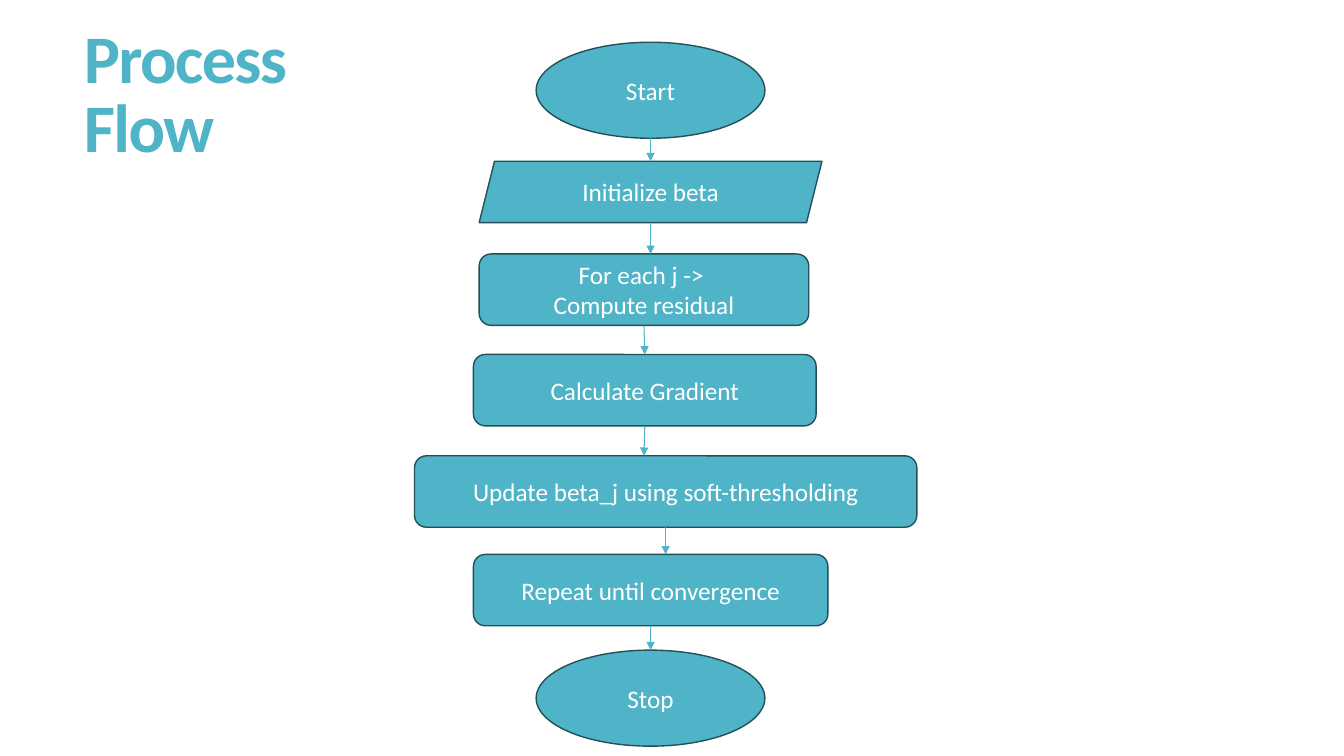
from lxml import etree
from pptx import Presentation
from pptx.dml.color import RGBColor
from pptx.enum import shapes, text
from pptx.oxml import ns
from pptx.util import Pt

COLORS = {"teal": "50B4C8", "outline": "234F58", "white": "FFFFFF"}
FONT = "Calibri"
OVAL = shapes.MSO_SHAPE.OVAL
DATA = shapes.MSO_SHAPE.PARALLELOGRAM
STEP = shapes.MSO_SHAPE.ROUNDED_RECTANGLE

# shape, lines, (left, top, width, height), x where the incoming arrow ends
FLOW = [
    (OVAL, ["Start"], (383, 30.2, 163.4, 68.6), None),
    (DATA, ["Initialize beta"], (342.3, 115.2, 244.8, 43.8), 464.7),
    (STEP, ["For each j -> ", "Compute residual"], (342.3, 181.4, 235.4, 51), 464.7),
    (STEP, ["Calculate Gradient"], (338.2, 253.2, 244.8, 51), 460.6),
    (STEP, ["Update beta_j using soft-thresholding"], (296.1, 325.6, 358.8, 51), 460),
    (STEP, ["Repeat until convergence"], (338.2, 396, 253.2, 51), 475.5),
    (OVAL, ["Stop"], (383, 464.4, 163.4, 68.6), 464.7),
]


def rgb(name):
    return RGBColor.from_string(COLORS[name])


def add_run(p, words, size, color, bold=False):
    r = p.add_run()
    r.text = words
    r.font.name = FONT
    r.font.size = Pt(size)
    r.font.bold = bold
    r.font.color.rgb = rgb(color)
    return r


def add_title(s, lines, box):
    tf = s.shapes.add_textbox(*map(Pt, box)).text_frame
    tf.word_wrap = True
    tf.vertical_anchor = text.MSO_ANCHOR.MIDDLE
    p = tf.paragraphs[0]
    p.line_spacing = 0.85
    for i, line in enumerate(lines):
        if i:
            p.add_line_break()
        r = add_run(p, line, 48.6, "teal", bold=True)
        r.font._element.set("spc", "-120")


def add_step(s, kind, lines, box):
    sp = s.shapes.add_shape(kind, *map(Pt, box))
    sp.shadow.inherit = False
    sp.fill.solid()
    sp.fill.fore_color.rgb = rgb("teal")
    sp.line.color.rgb = rgb("outline")
    sp.line.width = Pt(1)
    tf = sp.text_frame
    tf.word_wrap = True
    tf.vertical_anchor = text.MSO_ANCHOR.MIDDLE
    for i, line in enumerate(lines):
        p = tf.add_paragraph() if i else tf.paragraphs[0]
        p.alignment = text.PP_ALIGN.CENTER
        add_run(p, line, 18, "white")


def add_arrow(s, x1, y1, x2, y2):
    arrow = s.shapes.add_connector(
        shapes.MSO_CONNECTOR.STRAIGHT, Pt(x1), Pt(y1), Pt(x2), Pt(y2))
    arrow.line.color.rgb = rgb("teal")
    arrow.line.width = Pt(0.75)
    etree.SubElement(arrow.line._get_or_add_ln(), ns.qn("a:tailEnd"), type="triangle")
    etree.SubElement(arrow._element.spPr, ns.qn("a:effectLst"))


def add_flow(s, flow):
    """Draw the steps, then an arrow from each one's bottom centre to the next."""
    for kind, lines, box, _ in flow:
        add_step(s, kind, lines, box)
    for (_, _, box, _), (_, _, next_box, end_x) in zip(flow, flow[1:]):
        left, top, width, height = box
        add_arrow(s, left + width / 2, top + height, end_x, next_box[1])


def main():
    prs = Presentation()
    prs.slide_width, prs.slide_height = Pt(960), Pt(540)
    s = prs.slides.add_slide(prs.slide_layouts[6])
    add_title(s, ["Process", "Flow"], (52.8, 14.5, 214.6, 110))
    add_flow(s, FLOW)
    prs.save("out.pptx")


if __name__ == "__main__":
    main()
